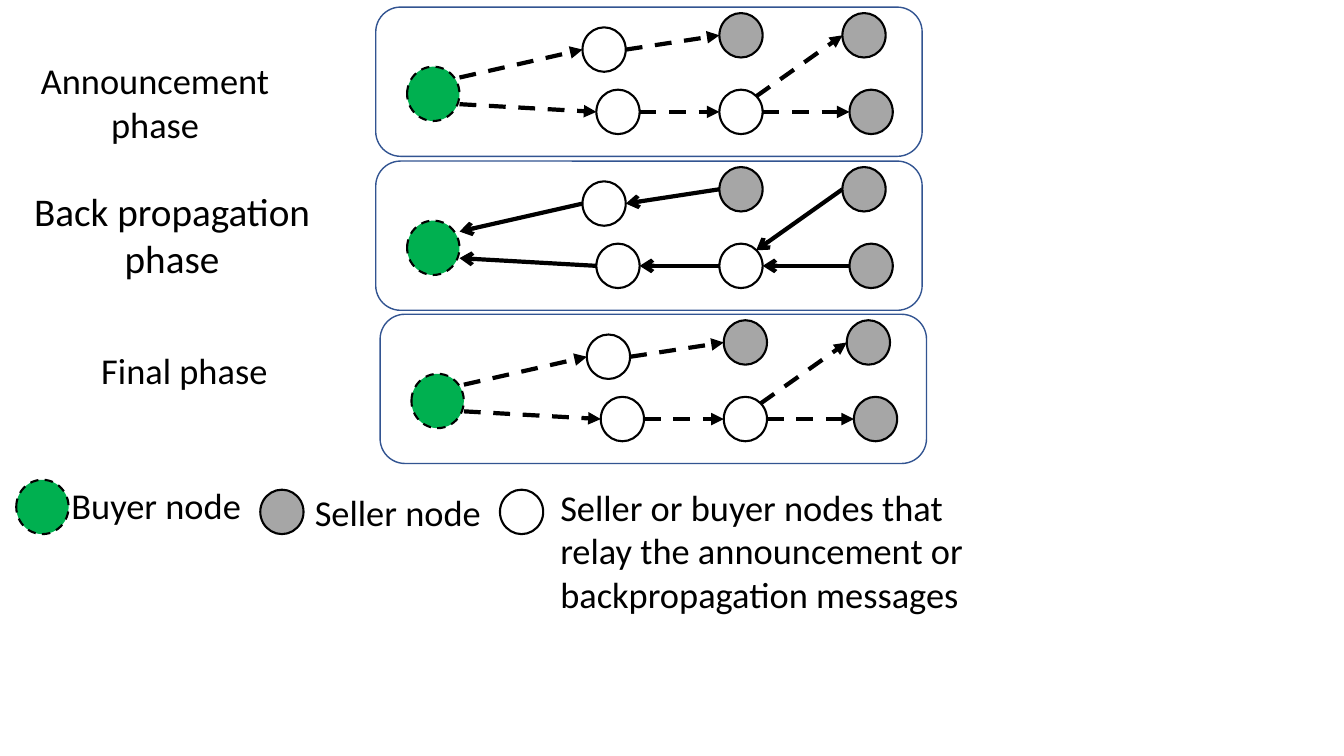
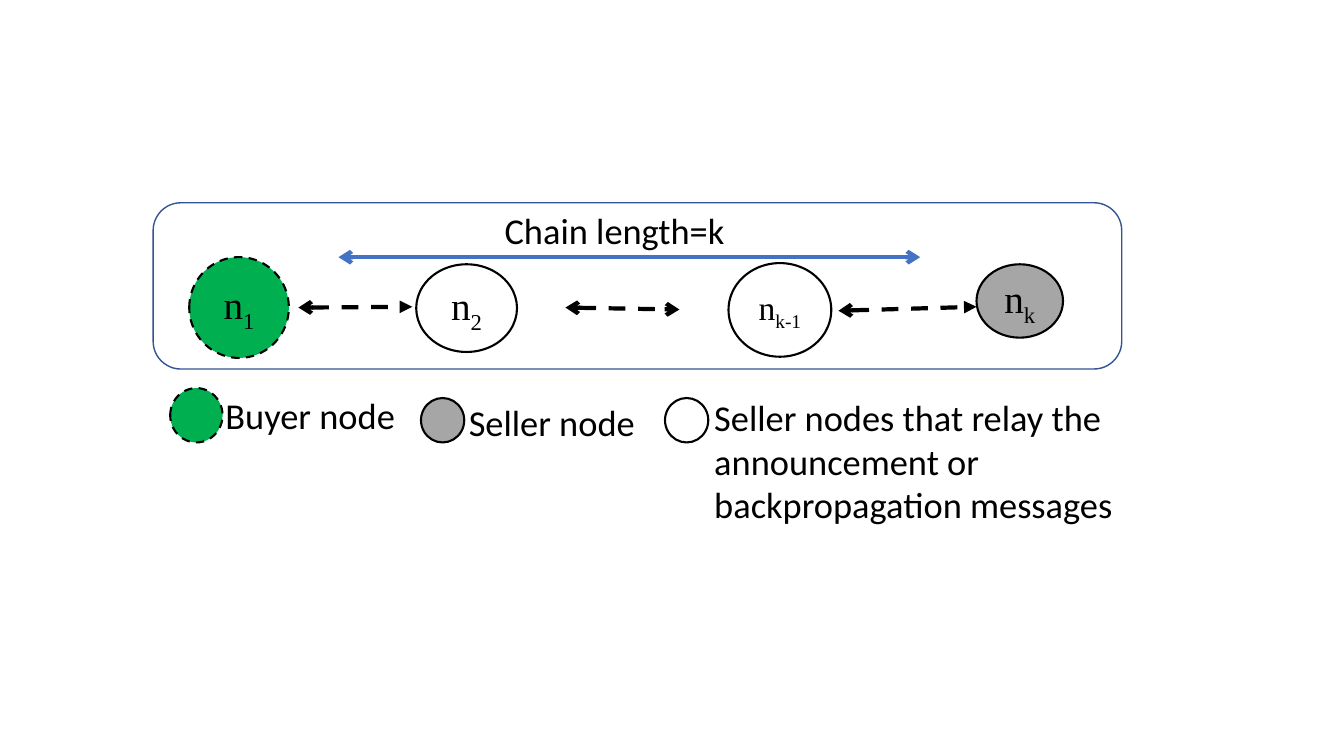
from dataclasses import dataclass

from lxml import etree
from pptx import Presentation
from pptx.dml.color import RGBColor
from pptx.enum.dml import MSO_LINE_DASH_STYLE as DASH
from pptx.enum.shapes import MSO_CONNECTOR as CONN, MSO_SHAPE as SHAPE
from pptx.enum.text import MSO_ANCHOR as ANCHOR, MSO_AUTO_SIZE as AUTO, PP_ALIGN as ALIGN
from pptx.oxml.ns import qn
from pptx.util import Cm, Pt

BLACK = RGBColor(0x00, 0x00, 0x00)
WHITE = RGBColor(0xFF, 0xFF, 0xFF)
GREEN = RGBColor(0x00, 0xB0, 0x50)
GREY = RGBColor(0xA6, 0xA6, 0xA6)
BLUE = RGBColor(0x44, 0x72, 0xC4)
PANEL_BLUE = RGBColor(0x32, 0x54, 0x91)

LABEL_FONT, NODE_FONT = "Calibri", "Times New Roman"
BUYER_SIZE = (1.32, 1.37)
SMALL_SIZE = (1.09, 1.12)
PANEL_SIZE = (13.77, 3.76)
LABEL_SIZE = (9.14, 1.37)


@dataclass
class Node:
    """An ellipse; lengths in centimetres, offsets from its panel."""
    left: float
    top: float
    fill: RGBColor = WHITE
    size: tuple = SMALL_SIZE

    def port(self, across, down):
        """Return the point at the given fractions of width and height."""
        return self.left + across * self.size[0], self.top + down * self.size[1]


# Network shown in each phase
BUYER = Node(0.79, 1.5, GREEN, BUYER_SIZE)
UPPER_RELAY = Node(5.21, 0.51)
LOWER_RELAY = Node(5.56, 2.08)
FAR_RELAY = Node(8.66, 2.08)
UPPER_SELLER = Node(8.66, 0.15, GREY)
FAR_SELLER = Node(11.76, 0.15, GREY)
LOWER_SELLER = Node(11.94, 2.08, GREY)
NETWORK = (BUYER, UPPER_RELAY, LOWER_RELAY, FAR_RELAY,
           UPPER_SELLER, FAR_SELLER, LOWER_SELLER)
RIGHT, UPPER_RIGHT = (1, 0.5), (0.85, 0.15)
# Each link enters the left middle of its target
LINKS = ((BUYER, (1, 0.2), UPPER_RELAY),
         (BUYER, (1, 0.69), LOWER_RELAY),
         (UPPER_RELAY, RIGHT, UPPER_SELLER),
         (LOWER_RELAY, RIGHT, FAR_RELAY),
         (FAR_RELAY, UPPER_RIGHT, FAR_SELLER),
         (FAR_RELAY, RIGHT, LOWER_SELLER))


def add_run(p, text, size, font, baseline=None):
    """Add a black run, lowered if a baseline is given."""
    r = p.add_run()
    r.text = text
    r.font.size, r.font.name = Pt(size), font
    r.font.color.rgb = BLACK
    if baseline is not None:
        r.font._element.set("baseline", str(baseline))


def add_label(s, left, top, text, box=LABEL_SIZE, size=26, align=ALIGN.CENTER):
    """Add a wrapped text box."""
    tf = s.shapes.add_textbox(Cm(left), Cm(top), Cm(box[0]), Cm(box[1])).text_frame
    tf.word_wrap = True
    tf.auto_size = AUTO.SHAPE_TO_FIT_TEXT
    p = tf.paragraphs[0]
    p.alignment = align
    add_run(p, text, size, LABEL_FONT)


def add_outlined(s, kind, left, top, size, fill, line, width):
    """Add a flat preset shape with a fill and an outline."""
    sp = s.shapes.add_shape(kind, Cm(left), Cm(top), Cm(size[0]), Cm(size[1]))
    sp.shadow.inherit = False
    sp.fill.solid()
    sp.fill.fore_color.rgb = fill
    sp.line.color.rgb = line
    sp.line.width = Pt(width)
    return sp


def add_panel(s, left, top, size):
    """Add the rounded frame behind a diagram."""
    add_outlined(s, SHAPE.ROUNDED_RECTANGLE, left, top, size, WHITE, PANEL_BLUE, 1)


def add_node(s, left, top, node):
    """Add a node relative to a corner; buyers have a dashed outline."""
    sp = add_outlined(s, SHAPE.OVAL, left + node.left, top + node.top,
                      node.size, node.fill, BLACK, 1.5)
    if node.fill == GREEN:
        sp.line.dash_style = DASH.DASH
    return sp


def add_arrow(s, left, top, start, end, color=BLACK, dashed=True, head=None, tail=None):
    """Add an arrow between two points relative to a corner."""
    c = s.shapes.add_connector(CONN.STRAIGHT, Cm(left + start[0]), Cm(top + start[1]),
                               Cm(left + end[0]), Cm(top + end[1]))
    c.line.color.rgb = color
    c.line.width = Pt(3)
    if dashed:
        c.line.dash_style = DASH.DASH
    ln = c.line._get_or_add_ln()
    for tag, kind in (("a:headEnd", head), ("a:tailEnd", tail)):
        if kind:
            etree.SubElement(ln, qn(tag)).set("type", kind)
    etree.SubElement(c._element.spPr, qn("a:effectLst"))


def add_phase(s, left, top, back=False):
    """Draw the network panel, with links running out or back to the buyer."""
    add_panel(s, left, top, PANEL_SIZE)
    for node in NETWORK:
        add_node(s, left, top, node)
    ends = {"head": "arrow"} if back else {"tail": "triangle"}
    for source, port, target in LINKS:
        add_arrow(s, left, top, source.port(*port), target.port(0, 0.5),
                  dashed=not back, **ends)


def add_legend(s, left, top, text_top, seller_gap, relay_gap, relay_text):
    """Draw the three node kinds with their names."""
    for node in (Node(0, 0, GREEN, BUYER_SIZE), Node(seller_gap, 0.25, GREY),
                 Node(relay_gap, 0.25)):
        add_node(s, left, top, node)
    add_label(s, left - 1.04, text_top, "Buyer node")
    add_label(s, left + 5.05, text_top + 0.18, "Seller node")
    add_label(s, left + 13.46, text_top + 0.05, relay_text, (10.87, 3.58),
              align=ALIGN.LEFT)


def add_chain(s, left, top):
    """Draw the chain of numbered nodes from buyer to seller."""
    add_panel(s, left, top, (24.41, 4.19))
    for node, index, size in ((Node(0.91, 1.37, GREEN, (2.51, 2.54)), "1", 28),
                              (Node(6.63, 1.55, WHITE, (2.54, 2.21)), "2", 28),
                              (Node(14.5, 1.52, WHITE, (2.59, 2.36)), "k-1", 24),
                              (Node(20.75, 1.55, GREY, (2.18, 1.85)), "k", 28)):
        tf = add_node(s, left, top, node).text_frame
        tf.vertical_anchor = ANCHOR.MIDDLE
        p = tf.paragraphs[0]
        p.alignment = ALIGN.CENTER
        add_run(p, "n", size, NODE_FONT)
        add_run(p, index, size, NODE_FONT, baseline=-25000)
    for start, end, tail in (((3.66, 2.64), (6.53, 2.62), "triangle"),
                             ((10.39, 2.64), (13.26, 2.69), "arrow"),
                             ((17.27, 2.72), (20.75, 2.62), "triangle")):
        add_arrow(s, left, top, start, end, head="arrow", tail=tail)
    add_label(s, left + 7.06, top, "Chain length=k")
    add_arrow(s, left, top, (4.67, 1.37), (19.33, 1.37), BLUE, False, "arrow", "arrow")


def phases_slide(s):
    """Show the three message phases."""
    add_phase(s, 9.47, 0.18)
    add_phase(s, 9.47, 4.06, back=True)
    add_phase(s, 9.58, 7.92)
    add_label(s, 0.2, 1.35, "Announcement phase", (7.42, 2.49))
    add_label(s, 0.08, 4.6, "Back propagation phase", (8.51, 2.64), size=28)
    add_label(s, 0.08, 8.66, "Final phase")
    add_legend(s, 0.41, 12.09, 12.04, 6.15, 12.19,
               "Seller or buyer nodes that relay the announcement "
               "or backpropagation messages")


def chain_slide(s):
    """Show a chain of k nodes."""
    add_chain(s, 3.86, 5.11)
    add_legend(s, 4.29, 9.78, 9.78, 6.32, 12.47,
               "Seller nodes that relay the announcement or backpropagation messages")


prs = Presentation()
prs.slide_width, prs.slide_height = Cm(33.87), Cm(19.05)
for build in (phases_slide, chain_slide):
    build(prs.slides.add_slide(prs.slide_layouts[6]))
prs.save("out.pptx")
